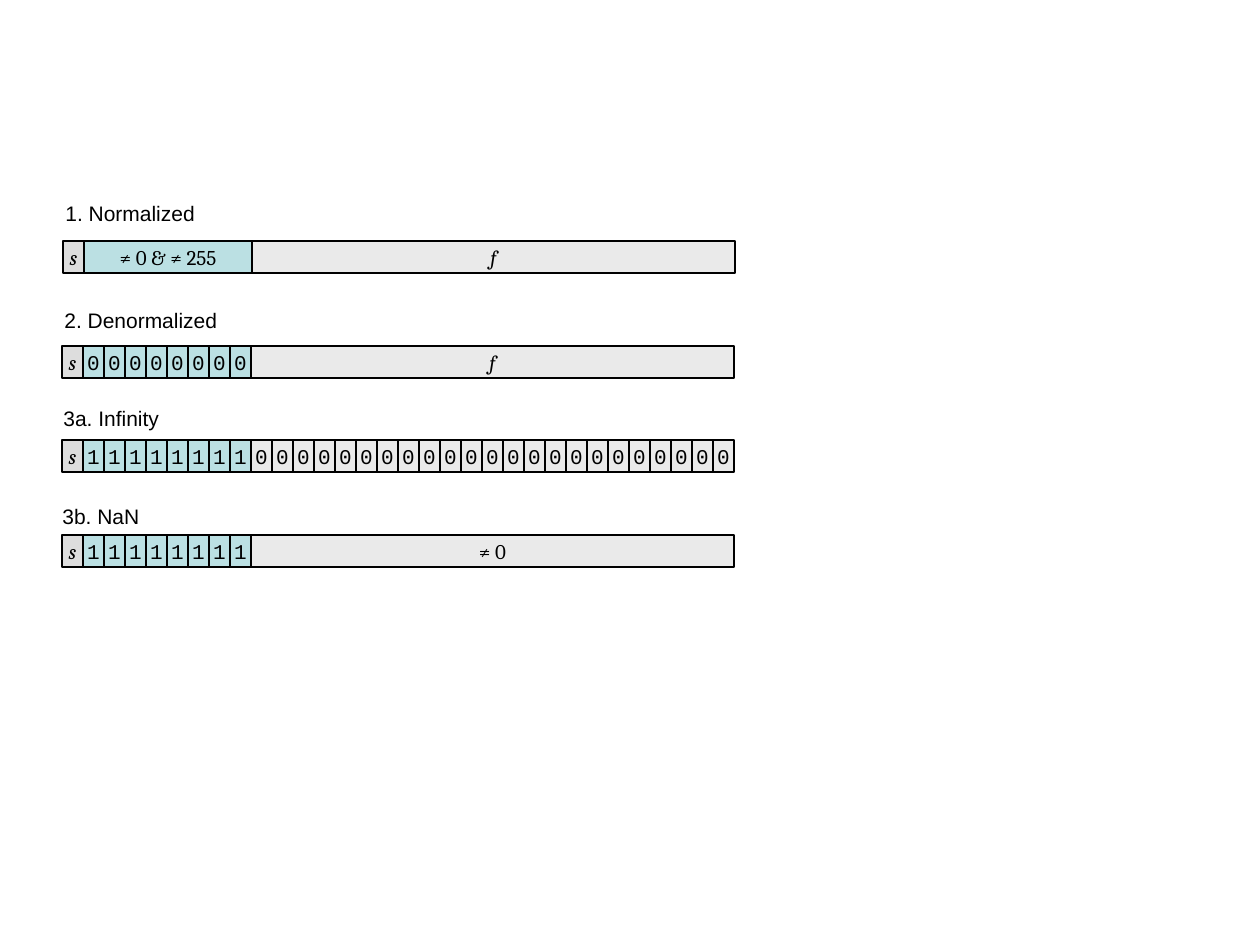
from pptx import Presentation
from pptx.dml.color import RGBColor
from pptx.enum.shapes import MSO_SHAPE
from pptx.enum.text import MSO_ANCHOR, MSO_AUTO_SIZE, PP_ALIGN
from pptx.util import Pt

RECT = MSO_SHAPE.RECTANGLE
MIDDLE = MSO_ANCHOR.MIDDLE
CENTER = PP_ALIGN.CENTER
GROW = MSO_AUTO_SIZE.SHAPE_TO_FIT_TEXT

PX = 914400 // 126
BIT_W, BIT_H, LABEL_H = 21, 32, 38
EXP_BITS, FRAC_BITS = 8, 23
COLORS = {"sign": "DDDDDD", "exp": "BBE0E3", "frac": "EAEAEA", "ink": "000000"}
LABEL_FONT, MATH_FONT, BIT_FONT = "Arial", "Cambria", "Courier New"


def px(*lengths):
    return [n * PX for n in lengths]


def rgb(name):
    return RGBColor.from_string(COLORS[name])


def set_text(tf, text, font, italic=False):
    tf.word_wrap = False
    p = tf.paragraphs[0]
    p.text = text
    r = p.runs[0]
    r.font.name, r.font.size = font, Pt(12)
    r.font.color.rgb = rgb("ink")
    if italic:
        r.font.italic = True
    return p


def add_label(s, x, y, w, text):
    tf = s.shapes.add_textbox(*px(x, y, w, LABEL_H)).text_frame
    set_text(tf, text, LABEL_FONT)
    tf.auto_size = GROW


def add_cell(s, x, y, bits, fill, text, font):
    sp = s.shapes.add_shape(RECT, *px(x, y, bits * BIT_W, BIT_H))
    sp.shadow.inherit = False
    sp.fill.solid()
    sp.fill.fore_color.rgb = rgb(fill)
    sp.line.color.rgb = rgb("ink")
    sp.line.width = Pt(0.75)
    tf = sp.text_frame
    tf.margin_left = tf.margin_right = tf.margin_top = tf.margin_bottom = 0
    tf.vertical_anchor = MIDDLE
    set_text(tf, text, font, italic=text.isalpha()).alignment = CENTER


def add_field(s, x, y, bits, fill, text):
    """One cell per bit for a bit string, otherwise one cell for the field."""
    if text.isdigit():
        for i, bit in enumerate(text):
            add_cell(s, x + i * BIT_W, y, 1, fill, bit, BIT_FONT)
    else:
        add_cell(s, x, y, bits, fill, text, MATH_FONT)


def add_float_row(s, x, y, exponent, fraction):
    fields = [(1, "sign", "s"), (EXP_BITS, "exp", exponent),
              (FRAC_BITS, "frac", fraction)]
    for bits, fill, text in fields:
        add_field(s, x, y, bits, fill, text)
        x += bits * BIT_W


def main():
    prs = Presentation()
    prs.slide_width, prs.slide_height = px(1260, 945)
    s = prs.slides.add_slide(prs.slide_layouts[6])

    # Label (text, x, y, width), then bit row (x, y, exponent, fraction)
    rows = [
        ("1. Normalized", 53, 194, 156, 63, 241, "≠ 0 & ≠ 255", "f"),
        ("2. Denormalized", 52, 301, 180, 62, 346, "0" * EXP_BITS, "f"),
        ("3a. Infinity", 51, 399, 122, 62, 440, "1" * EXP_BITS, "0" * FRAC_BITS),
        ("3b. NaN", 50, 497, 103, 62, 535, "1" * EXP_BITS, "≠ 0"),
    ]
    for text, label_x, label_y, label_w, x, y, exponent, fraction in rows:
        add_label(s, label_x, label_y, label_w, text)
        add_float_row(s, x, y, exponent, fraction)

    prs.save("out.pptx")


if __name__ == "__main__":
    main()
